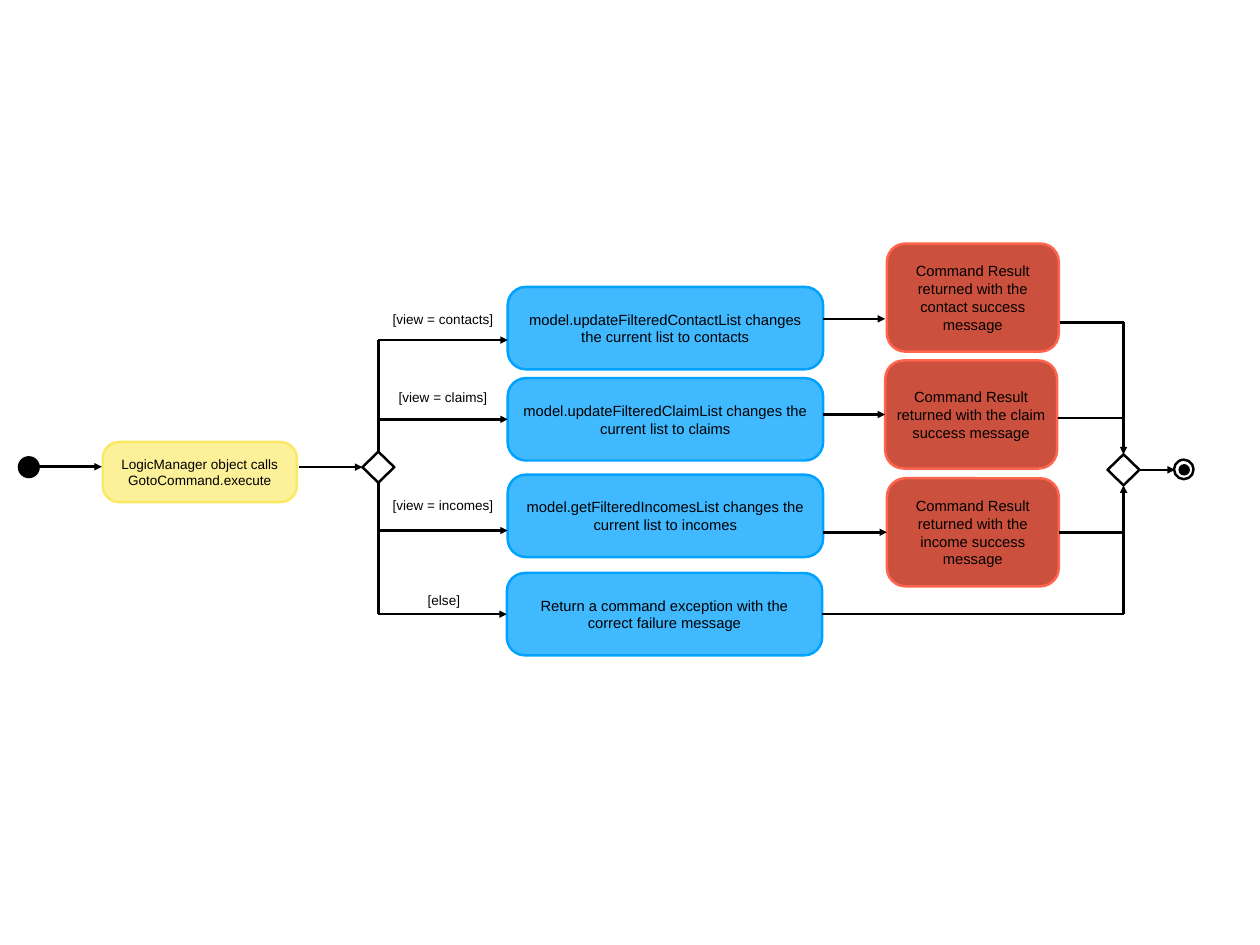
"""Build the activity diagram of the goto command on one slide."""

import dataclasses
import typing

import lxml.etree
import pptx
import pptx.dml.color
import pptx.enum.shapes
import pptx.enum.text
import pptx.oxml.ns
import pptx.util

CELL = pptx.util.Inches(0.1)
COLUMNS, ROWS = 142.2, 106.7
INSET = 0.6
BLACK, WHITE = "000000", "FFFFFF"
TOP, LEFT, BOTTOM, RIGHT = range(4)
Preset = pptx.enum.shapes.MSO_SHAPE


@dataclasses.dataclass(frozen=True)
class Style:
    preset: Preset
    width: float
    height: float
    fill: str
    outline: str
    size: int = 12
    corner: typing.Optional[float] = None


@dataclasses.dataclass(frozen=True)
class Node:
    name: str
    style: Style
    column: float
    row: float
    text: str = ""


@dataclasses.dataclass(frozen=True)
class Label:
    text: str
    center: float
    row: float


class Joint(typing.NamedTuple):
    name: str
    side: int


@dataclasses.dataclass(frozen=True)
class Flow:
    start: tuple[float, float]
    finish: tuple[float, float]
    arrow: bool = True
    begin: typing.Optional[Joint] = None
    end: typing.Optional[Joint] = None


CALL = Style(Preset.ROUNDED_RECTANGLE, 21.9, 6.8, "FCF098", "FBE965", 11, 0.27)
ACTION = Style(Preset.ROUNDED_RECTANGLE, 35.6, 9.3, "40B9FF", "00A2FF", 12, 0.22)
RESULT = Style(Preset.ROUNDED_RECTANGLE, 19.4, 12.2, "CC503E", "FF644E", 12, 0.17)
DECISION = Style(Preset.DIAMOND, 3.6, 3.5, WHITE, BLACK)
START = Style(Preset.OVAL, 2.5, 2.5, BLACK, "")
RING = Style(Preset.OVAL, 2.2, 2.2, WHITE, BLACK)
DOT = Style(Preset.OVAL, 1.3, 1.3, BLACK, "")

NODES = [
    Node("start", START, 2, 51.5),
    Node("call", CALL, 11.6, 49.9, "LogicManager object calls GotoCommand.execute"),
    Node("branch", DECISION, 40.9, 51),
    Node("contacts", ACTION, 57.3, 32.4,
         "model.updateFilteredContactList changes the current list to contacts"),
    Node("claims", ACTION, 57.3, 42.7,
         "model.updateFilteredClaimList changes the current list to claims"),
    Node("incomes", ACTION, 57.3, 53.6,
         "model.getFilteredIncomesList changes the current list to incomes"),
    Node("failure", ACTION, 57.2, 64.7,
         "Return a command exception with the correct failure message"),
    Node("contact result", RESULT, 100.1, 27.5,
         "Command Result returned with the contact success message"),
    Node("claim result", RESULT, 99.9, 40.7,
         "Command Result returned with the claim success message"),
    Node("income result", RESULT, 100.1, 54,
         "Command Result returned with the income success message"),
    Node("merge", DECISION, 125, 51.3),
    Node("end ring", RING, 132.5, 51.9),
    Node("end dot", DOT, 133, 52.4),
]

LABELS = [
    Label("[view = contacts]", 50, 34.6),
    Label("[view = claims]", 50, 43.4),
    Label("[view = incomes]", 50, 55.6),
    Label("[else]", 50.1, 66.3),
]

SPLIT, JOIN = 42.7, 126.8
FLOWS = [
    Flow((4.4, 52.7), (11.5, 52.7)),
    Flow((33.7, 52.75), (40.9, 52.75), end=Joint("branch", LEFT)),
    Flow((SPLIT, 51), (SPLIT, 38.4), False, begin=Joint("branch", TOP)),
    Flow((SPLIT, 54.5), (SPLIT, 69.35), False, begin=Joint("branch", BOTTOM)),
    Flow((SPLIT, 38.4), (57.3, 38.4)),
    Flow((SPLIT, 47.35), (57.3, 47.35), end=Joint("claims", LEFT)),
    Flow((SPLIT, 59.9), (57.3, 59.9)),
    Flow((SPLIT, 69.35), (57.2, 69.35), end=Joint("failure", LEFT)),
    Flow((92.9, 36), (99.9, 36)),
    Flow((92.9, 46.8), (99.9, 46.8), end=Joint("claim result", LEFT)),
    Flow((92.9, 60.1), (100.1, 60.1), end=Joint("income result", LEFT)),
    Flow((119.6, 36.4), (JOIN, 36.4), False),
    Flow((119.4, 47.2), (JOIN, 47.2), False),
    Flow((119.5, 60.1), (JOIN, 60.1), False, begin=Joint("income result", RIGHT)),
    Flow((92.8, 69.35), (JOIN, 69.35), False, begin=Joint("failure", RIGHT)),
    Flow((JOIN, 36.4), (JOIN, 51.3), end=Joint("merge", TOP)),
    Flow((JOIN, 69.35), (JOIN, 54.8), end=Joint("merge", BOTTOM)),
    Flow((128.6, 53.05), (132.6, 53.05), begin=Joint("merge", RIGHT)),
]


def cells(count: float) -> pptx.util.Emu:
    return pptx.util.Emu(round(count * CELL))


def color(code: str) -> pptx.dml.color.RGBColor:
    return pptx.dml.color.RGBColor.from_string(code)


def write(box, text: str, size: int, wrap: bool) -> None:
    frame = box.text_frame
    frame.text = text
    frame.word_wrap = wrap
    frame.vertical_anchor = pptx.enum.text.MSO_ANCHOR.MIDDLE
    frame.margin_left = frame.margin_right = cells(INSET)
    frame.margin_top = frame.margin_bottom = cells(INSET)
    para = frame.paragraphs[0]
    para.alignment = pptx.enum.text.PP_ALIGN.CENTER
    for span in para.runs:
        span.font.name = "Arial"
        span.font.size = pptx.util.Pt(size)
        span.font.color.rgb = color(BLACK)


def draw_node(page, node: Node):
    style = node.style
    box = page.shapes.add_shape(style.preset, cells(node.column), cells(node.row),
                                cells(style.width), cells(style.height))
    box.shadow.inherit = False
    box.fill.solid()
    box.fill.fore_color.rgb = color(style.fill)
    if style.outline:
        box.line.color.rgb = color(style.outline)
        box.line.width = pptx.util.Pt(2)
    else:
        box.line.fill.background()
    if style.corner is not None:
        box.adjustments[0] = style.corner
    if node.text:
        write(box, node.text, style.size, True)
    return box


def draw_label(page, label: Label) -> None:
    width, height = 13.4, 2.9
    box = page.shapes.add_textbox(cells(label.center - width / 2), cells(label.row),
                                  cells(width), cells(height))
    write(box, label.text, 11, False)


def draw_flow(page, flow: Flow, boxes: dict) -> None:
    ends = [cells(length) for length in (*flow.start, *flow.finish)]
    line = page.shapes.add_connector(pptx.enum.shapes.MSO_CONNECTOR.STRAIGHT, *ends)
    if flow.begin:
        line.begin_connect(boxes[flow.begin.name], flow.begin.side)
    if flow.end:
        line.end_connect(boxes[flow.end.name], flow.end.side)
    line.line.color.rgb = color(BLACK)
    line.line.width = pptx.util.Pt(2)
    properties = line._element.spPr
    if flow.arrow:
        stroke = properties.find(pptx.oxml.ns.qn("a:ln"))
        lxml.etree.SubElement(stroke, pptx.oxml.ns.qn("a:tailEnd"), type="triangle")
    lxml.etree.SubElement(properties, pptx.oxml.ns.qn("a:effectLst"))


def main() -> None:
    deck = pptx.Presentation()
    deck.slide_width, deck.slide_height = cells(COLUMNS), cells(ROWS)
    page = deck.slides.add_slide(deck.slide_layouts[6])
    boxes = {node.name: draw_node(page, node) for node in NODES}
    for label in LABELS:
        draw_label(page, label)
    for flow in FLOWS:
        draw_flow(page, flow, boxes)
    deck.save("out.pptx")


if __name__ == "__main__":
    main()
